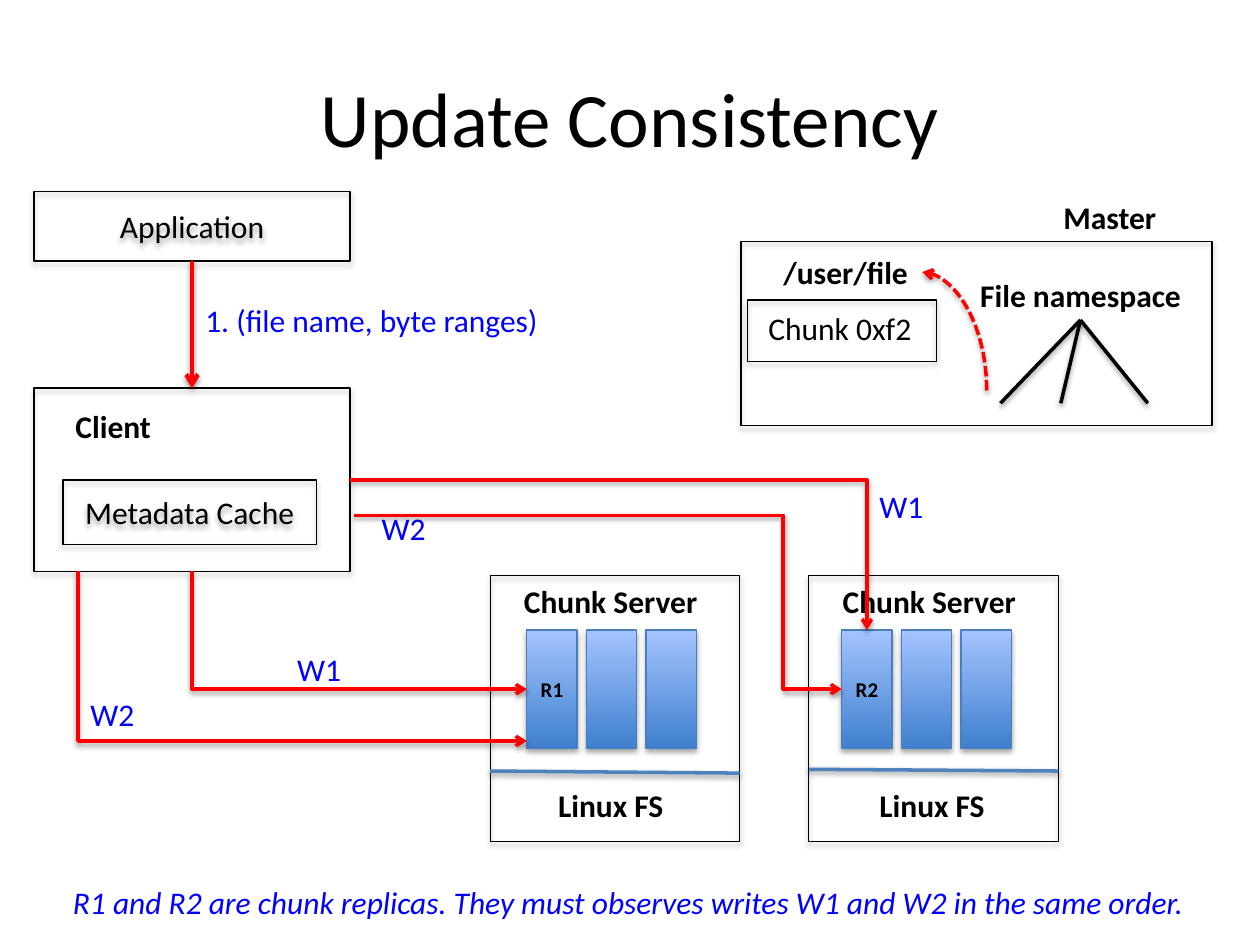
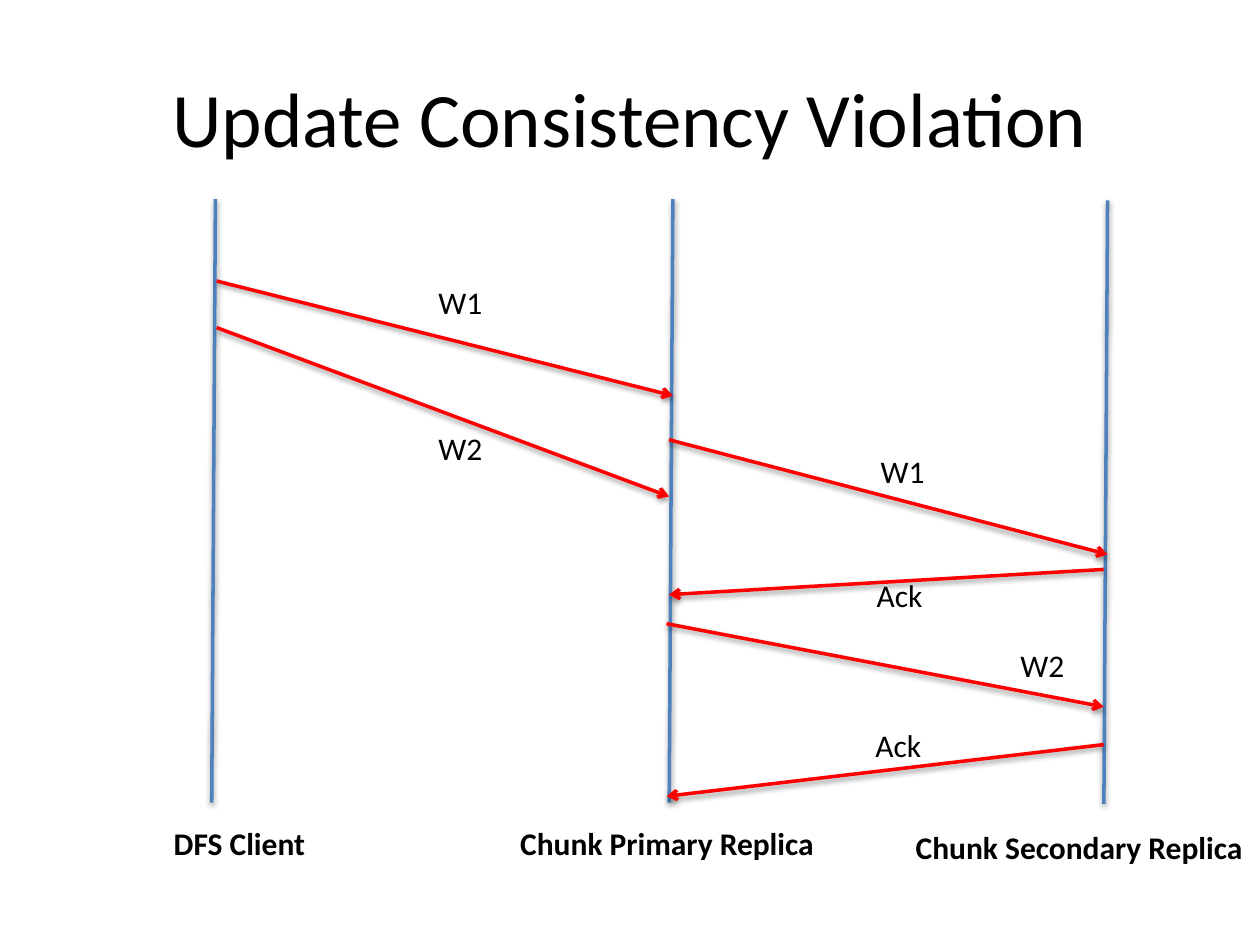
from lxml import etree
from pptx import Presentation
from pptx.dml.color import RGBColor
from pptx.enum import dml, shapes, text
from pptx.oxml.ns import qn
from pptx.util import Pt

BLACK = RGBColor(0x00, 0x00, 0x00)
RED = RGBColor(0xFF, 0x00, 0x00)
BLUE = RGBColor(0x00, 0x00, 0xFF)
STEEL = RGBColor(0x4F, 0x81, 0xBD)
BAR_EDGE = RGBColor(0x4B, 0x7E, 0xBC)
BAR_STOPS = (RGBColor(0x3F, 0x80, 0xCE), RGBColor(0xA4, 0xC4, 0xFF))

FONT = "Calibri"
BOLD = {"bold": True}
NOTE = {"color": BLUE}
TEXT_H = 28.8

# Slide 1: name -> (left, top, width, height, label)
BOXES = {
    "application": (19.4, 109.4, 180.7, 39.8, "Application"),
    "client": (19.4, 221.8, 180.7, 104.7, ""),
    "cache": (36, 274.3, 144.7, 36.7, "Metadata Cache"),
    "master": (423.4, 138.2, 269.3, 105.1, ""),
    "chunk": (427, 171.4, 108, 35.3, ""),
}
# (left, top, width, wording, font)
ARCHITECTURE_LABELS = [
    (600.5, 109.4, 68.4, "Master", BOLD),
    (440.6, 141.1, 86.4, "/user/file", BOLD),
    (432, 172.8, 97.2, "Chunk 0xf2", {}),
    (553, 154.1, 130.3, "File namespace", BOLD),
    (36, 229, 58.3, "Client", BOLD),
    (110.2, 168.5, 207.4, "1. (file name, byte ranges)", NOTE),
    (162.7, 367.9, 39.6, "W1", NOTE),
    (44.6, 393.8, 39.6, "W2", NOTE),
    (495.4, 275, 39.6, "W1", NOTE),
    (211, 287.3, 39.6, "W2", NOTE),
    (34.6, 501.1, 662.4,
     "R1 and R2 are chunk replicas. They must observes writes W1 and W2 in the same order.",
     {"color": BLUE, "italic": True}),
]
# (replica, left, first bar left, file system label left, divider start y, divider end y)
SERVERS = [
    ("R1", 280.1, 301, 311.8, 440.6, 441.8),
    ("R2", 462.2, 481, 495.4, 439.6, 440.6),
]
SERVER_TOP, SERVER_W, SERVER_H = 329, 142.6, 151.9
BAR_TOP, BAR_W, BAR_H, BAR_STEP = 360, 28.8, 67.7, 34.1
TREE_ROOT, TREE_LEAVES, LEAF_Y = (617.4, 182.9), (571.7, 606.2, 655.9), 230.4

# Slide 2: (top x, top y, (label left, top, width, wording))
LIFELINES = [
    (123.1, 113.8, (92.2, 467.3, 90.7, "DFS Client")),
    (384.5, 113.8, (290.2, 467.3, 184.3, "Chunk Primary Replica")),
    (632.9, 114.5, (516.2, 469.4, 203.8, "Chunk Secondary Replica")),
]
LIFELINE_LEAN, LIFELINE_H = -2.1, 344.9
# (start, end, (label left, top, width, wording))
MESSAGES = [
    ((123.8, 160.6), (384.5, 226.1), (243.4, 158.4, 39.6, "W1")),
    ((123.8, 187.2), (382.3, 283.7), (243.4, 241.9, 39.6, "W2")),
    ((382.3, 251.3), (632.9, 316.8), (496.1, 254.9, 39.6, "W1")),
    ((630.7, 325.4), (382.3, 339.8), (493.9, 325.4, 41, "Ack")),
    ((380.9, 356.4), (630.7, 403.9), (576, 365.8, 39.6, "W2")),
    ((630.7, 425.5), (380.9, 455), (493.2, 411.1, 41, "Ack")),
]


def add_run(tf, wording, size=18, color=BLACK, **font):
    p = tf.paragraphs[0]
    r = p.add_run()
    r.text = wording
    for name, value in {"name": FONT, "size": Pt(size), **font}.items():
        setattr(r.font, name, value)
    r.font.color.rgb = color
    return p


def add_label(slide, left, top, width, wording, font):
    sp = slide.shapes.add_textbox(Pt(left), Pt(top), Pt(width), Pt(TEXT_H))
    sp.text_frame.word_wrap = False
    sp.text_frame.auto_size = text.MSO_AUTO_SIZE.SHAPE_TO_FIT_TEXT
    add_run(sp.text_frame, wording, **font)


def add_shadow(sp, alpha, distance):
    """Soft shadow falling straight down."""
    effects = etree.SubElement(sp._element.spPr, qn("a:effectLst"))
    shadow = etree.SubElement(effects, qn("a:outerShdw"), blurRad=str(Pt(3.1)),
                              dist=str(Pt(distance)), dir="5400000", rotWithShape="0")
    color = etree.SubElement(shadow, qn("a:srgbClr"), val=str(BLACK))
    etree.SubElement(color, qn("a:alpha"), val=str(alpha * 1000))


def add_box(slide, left, top, width, height, label="", stops=None, edge=BLACK, **font):
    sp = slide.shapes.add_shape(shapes.MSO_SHAPE.RECTANGLE,
                                Pt(left), Pt(top), Pt(width), Pt(height))
    if stops:
        sp.fill.gradient()
        sp.fill.gradient_angle = 90
        for stop, color in zip(sp.fill.gradient_stops, stops):
            stop.color.rgb = color
    else:
        sp.fill.background()
    sp.line.color.rgb = edge
    sp.line.width = Pt(0.75)
    add_shadow(sp, 35, 1.8)
    if label:
        p = add_run(sp.text_frame, label, **font)
        p.alignment = text.PP_ALIGN.CENTER
        sp.text_frame.vertical_anchor = text.MSO_ANCHOR.MIDDLE
    return sp


def add_line(slide, start, end, color=RED, width=2, arrow=True, dash=None,
             kind=shapes.MSO_CONNECTOR.STRAIGHT, joins=None):
    """joins holds (shape, site) for the start and for the end."""
    c = slide.shapes.add_connector(kind, *(Pt(v) for v in (*start, *end)))
    if joins:
        c.begin_connect(*joins[0])
        c.end_connect(*joins[1])
    c.line.color.rgb = color
    c.line.width = Pt(width)
    if dash:
        c.line.dash_style = dash
    if arrow:
        etree.SubElement(c.line._get_or_add_ln(), qn("a:tailEnd"), type="arrow")
    add_shadow(c, 38, 1.6)
    return c


def set_preset(c, preset, bend=None):
    geometry = c._element.spPr.find(qn("a:prstGeom"))
    geometry.set("prst", preset)
    if bend is not None:
        guides = geometry.find(qn("a:avLst"))
        etree.SubElement(guides, qn("a:gd"), name="adj1", fmla=f"val {round(bend * 100000)}")


def leave_vertically(c):
    """Turn a one-bend connector so that it starts up or down, not sideways."""
    flip = "flipH" if c.end_y > c.begin_y else "flipV"
    left, top, width, height = c.left, c.top, c.width, c.height
    xfrm = c._element.spPr.find(qn("a:xfrm"))
    for name in ("flipH", "flipV"):
        xfrm.set(name, str(int(name == flip)))
    xfrm.set("rot", str(270 * 60000))
    c.left, c.top = left + (width - height) // 2, top + (height - width) // 2
    c.width, c.height = height, width


def add_slide(prs, title):
    slide = prs.slides.add_slide(prs.slide_layouts[6])
    sp = slide.shapes.add_textbox(Pt(36), Pt(21.6), Pt(648), Pt(90))
    sp.text_frame.word_wrap = True
    sp.text_frame.vertical_anchor = text.MSO_ANCHOR.MIDDLE
    add_run(sp.text_frame, title, 44).alignment = text.PP_ALIGN.CENTER
    return slide


def add_server(slide, replica, left, bars_left, fs_left, divider_start, divider_end):
    """Returns the bar that holds the replica."""
    add_box(slide, left, SERVER_TOP, SERVER_W, SERVER_H)
    add_label(slide, left + 12.2, SERVER_TOP, 114.5, "Chunk Server", BOLD)
    bars = [add_box(slide, bars_left + i * BAR_STEP, BAR_TOP, BAR_W, BAR_H, label,
                    BAR_STOPS, BAR_EDGE, size=12, bold=True)
            for i, label in enumerate((replica, "", ""))]
    add_line(slide, (left, divider_start), (left + SERVER_W, divider_end), STEEL, arrow=False)
    add_label(slide, fs_left, 445.7, 75.6, "Linux FS", BOLD)
    return bars[0]


def build_architecture(prs):
    slide = add_slide(prs, "Update Consistency")
    boxes = {name: add_box(slide, *box) for name, box in BOXES.items()}
    r1, r2 = [add_server(slide, *server) for server in SERVERS]
    for label in ARCHITECTURE_LABELS:
        add_label(slide, *label)
    for leaf_x in TREE_LEAVES:
        add_line(slide, TREE_ROOT, (leaf_x, LEAF_Y), BLACK, arrow=False)

    lookup = add_line(slide, (563.8, 223.2), (527, 155.5), dash=dml.MSO_LINE.SQUARE_DOT,
                      kind=shapes.MSO_CONNECTOR.CURVE)
    set_preset(lookup, "curvedConnector2")
    leave_vertically(lookup)

    client, elbow = boxes["client"], shapes.MSO_CONNECTOR.ELBOW
    add_line(slide, (110, 149), (110, 222), width=2.5,
             joins=((boxes["application"], 2), (client, 0)))
    w1_to_r1 = add_line(slide, (110, 326), (301, 394), kind=elbow,
                        joins=((client, 2), (r1, 1)))
    set_preset(w1_to_r1, "bentConnector2")
    leave_vertically(w1_to_r1)
    w1_to_r2 = add_line(slide, (200, 274), (495, 360), kind=elbow,
                        joins=((client, 3), (r2, 0)))
    set_preset(w1_to_r2, "bentConnector2")
    w2_to_r1 = add_line(slide, (44.6, 326.2), (301, 423.4), kind=elbow)
    set_preset(w2_to_r1, "bentConnector3", 0)
    w2_to_r2 = add_line(slide, (202.3, 294.5), (481, 393.8), kind=elbow)
    set_preset(w2_to_r2, "bentConnector3", 0.88)


def build_violation(prs):
    slide = add_slide(prs, "Update Consistency Violation")
    for x, y, label in LIFELINES:
        add_line(slide, (x, y), (x + LIFELINE_LEAN, y + LIFELINE_H), STEEL, arrow=False)
        add_label(slide, *label, BOLD)
    for start, end, label in MESSAGES:
        add_line(slide, start, end)
        add_label(slide, *label, {})


def main():
    prs = Presentation()
    prs.slide_width, prs.slide_height = Pt(720), Pt(540)
    build_architecture(prs)
    build_violation(prs)
    prs.save("out.pptx")


if __name__ == "__main__":
    main()
